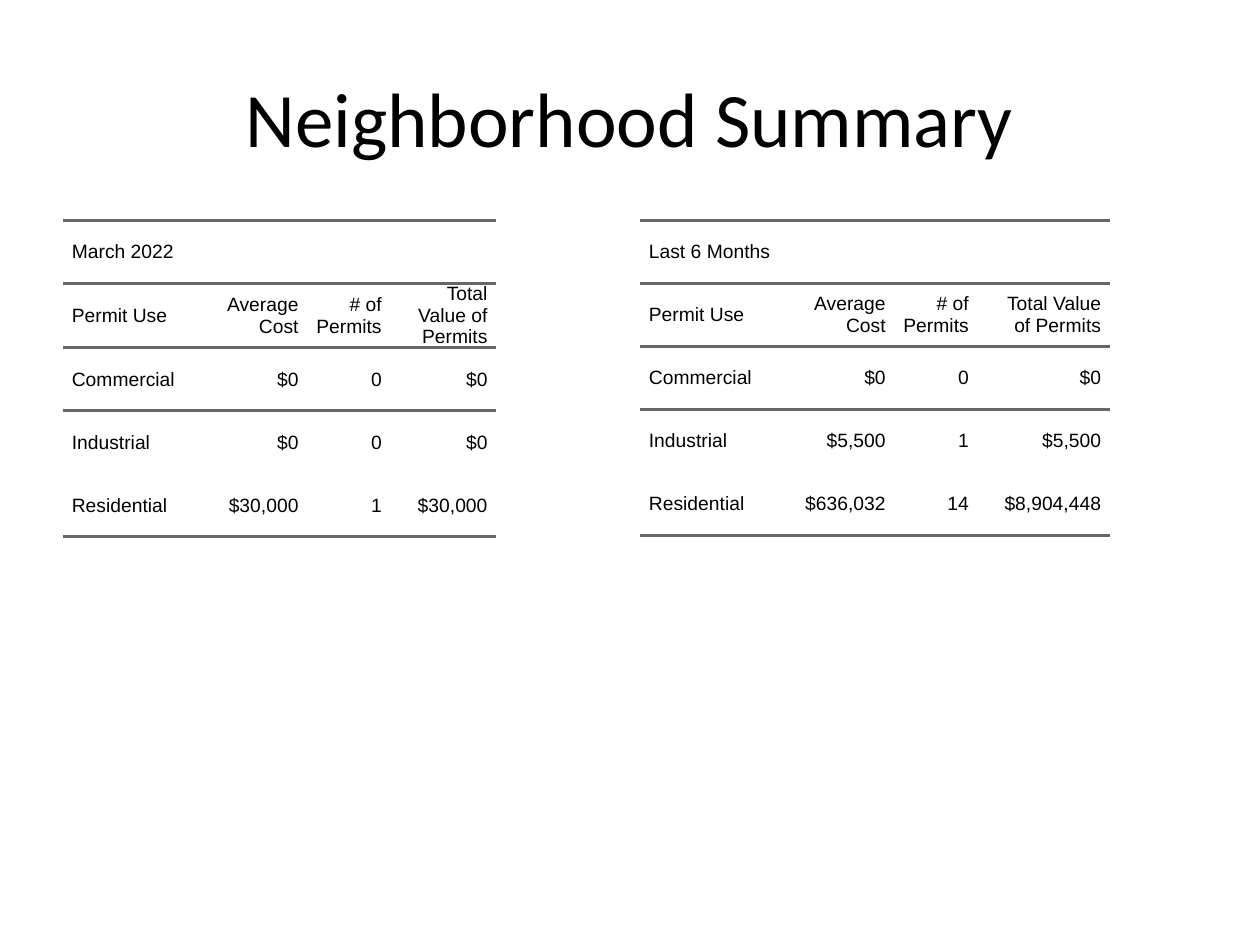
from lxml.etree import SubElement
from pptx import Presentation
from pptx.dml.color import RGBColor
from pptx.enum.text import MSO_ANCHOR, PP_ALIGN
from pptx.oxml.ns import qn
from pptx.util import Inches, Pt

COLORS = {"text": "000000", "rule": "666666"}
NO_STYLE = "{2D5ABB26-0587-4C30-8999-92F81FD0307C}"
HEADINGS = ["Permit Use", "Average Cost", "# of Permits", "Total Value of Permits"]
PERIODS = [
    {
        "name": "March 2022",
        "left": 0.5,
        "widths": [1.1, 0.84, 0.66, 0.84],
        "permits": [
            ["Commercial", "$0", "0", "$0"],
            ["Industrial", "$0", "0", "$0"],
            ["Residential", "$30,000", "1", "$30,000"],
        ],
    },
    {
        "name": "Last 6 Months",
        "left": 5.08,
        "widths": [1.1, 0.92, 0.66, 1.05],
        "permits": [
            ["Commercial", "$0", "0", "$0"],
            ["Industrial", "$5,500", "1", "$5,500"],
            ["Residential", "$636,032", "14", "$8,904,448"],
        ],
    },
]
ROW_HEIGHT = 0.5
RULED_EDGES = {0: ["a:lnT", "a:lnB"], 1: ["a:lnT", "a:lnB"], 2: ["a:lnT"], 4: ["a:lnB"]}
CELL_FORMAT = {
    "margin_left": 0,
    "margin_right": 0,
    "margin_top": 0,
    "margin_bottom": 0,
    "vertical_anchor": MSO_ANCHOR.MIDDLE,
}
SPACING = {"space_before": Pt(5), "space_after": Pt(5)}


def write(paragraph, text, font_name, size, align):
    paragraph.alignment = align
    run = paragraph.add_run()
    run.text = text
    run.font.name = font_name
    run.font.size = Pt(size)
    run.font.color.rgb = RGBColor.from_string(COLORS["text"])


def rule(cell, edge):
    line = SubElement(cell._tc.get_or_add_tcPr(), qn(edge), w=str(Pt(2)))
    fill = SubElement(line, qn("a:solidFill"))
    SubElement(fill, qn("a:srgbClr"), val=COLORS["rule"])


prs = Presentation()
prs.slide_width, prs.slide_height = Inches(10), Inches(7.5)
slide = prs.slides.add_slide(prs.slide_layouts[6])

for period in PERIODS:
    rows = [[period["name"], "", "", ""], HEADINGS, *period["permits"]]
    summary = slide.shapes.add_table(
        len(rows), len(HEADINGS), Inches(period["left"]), Inches(1.75),
        Inches(sum(period["widths"])), Inches(ROW_HEIGHT * len(rows)),
    ).table
    summary.first_row = summary.horz_banding = False
    summary._tbl.tblPr.find(qn("a:tableStyleId")).text = NO_STYLE
    for column, width in zip(summary.columns, period["widths"]):
        column.width = Inches(width)
    summary.cell(0, 0).merge(summary.cell(0, len(HEADINGS) - 1))

    for r, values in enumerate(rows):
        summary.rows[r].height = Inches(ROW_HEIGHT)
        for c, value in enumerate(values):
            cell = summary.cell(r, c)
            for name, setting in CELL_FORMAT.items():
                setattr(cell, name, setting)
            for edge in RULED_EDGES.get(r, []):
                rule(cell, edge)
            cell.fill.background()
            if value:
                entry = cell.text_frame.paragraphs[0]
                write(entry, value, "Arial", 11, PP_ALIGN.RIGHT if c else PP_ALIGN.LEFT)
                for name, setting in SPACING.items():
                    setattr(entry, name, setting)
                for side in ("marL", "marR"):
                    entry._p.get_or_add_pPr().set(side, str(Inches(0.07)))

title = slide.shapes.add_textbox(Inches(0.5), Inches(0.3), Inches(9), Inches(1.25)).text_frame
title.word_wrap = True
title.vertical_anchor = MSO_ANCHOR.MIDDLE
write(title.paragraphs[0], "Neighborhood Summary", "Calibri", 44, PP_ALIGN.CENTER)

prs.save("out.pptx")
